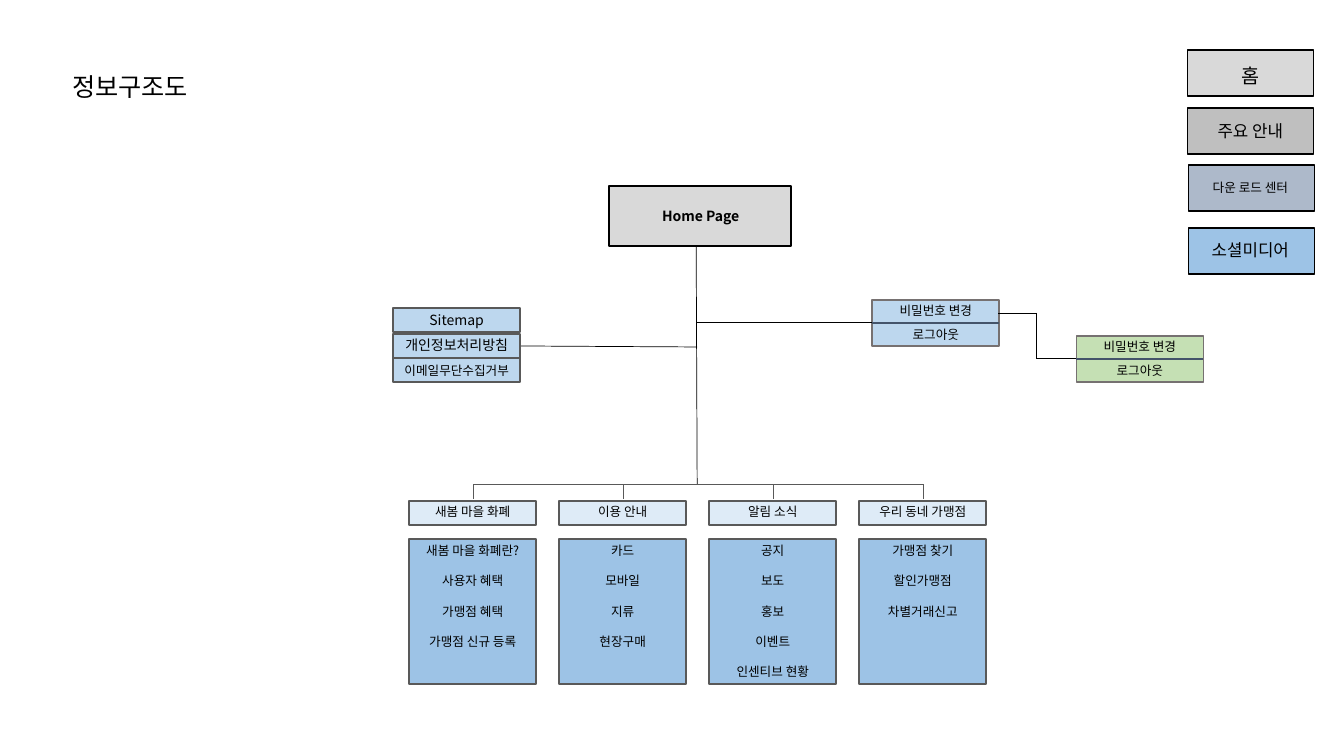
from itertools import pairwise

from lxml.etree import SubElement
from pptx import Presentation
from pptx.dml.color import RGBColor
from pptx.enum.shapes import MSO_CONNECTOR, MSO_SHAPE
from pptx.enum.text import MSO_AUTO_SIZE, PP_ALIGN
from pptx.oxml.ns import qn
from pptx.util import Inches, Pt

BLACK = RGBColor(0x00, 0x00, 0x00)
SILVER = RGBColor(0xD9, 0xD9, 0xD9)
GRAY = RGBColor(0xBF, 0xBF, 0xBF)
SLATE = RGBColor(0xAD, 0xB9, 0xCA)
BLUE = RGBColor(0x9D, 0xC3, 0xE6)
LIGHT_BLUE = RGBColor(0xBD, 0xD7, 0xEE)
PALE_BLUE = RGBColor(0xDE, 0xEB, 0xF7)
GREEN = RGBColor(0xC5, 0xE0, 0xB4)
DARK_GRAY = RGBColor(0x59, 0x59, 0x59)
MID_GRAY = RGBColor(0x76, 0x71, 0x71)
NAVY = RGBColor(0x44, 0x54, 0x6A)

FONT = "Noto Sans CJK KR"
LEADING = 1.2
BOX_WIDTH, ROW_HEIGHT, PAIR_HEIGHT = 127, 24, 46
OVERHANG = 8


def px(length):
    """Turn pixels into EMU."""
    return Inches(length / 100.8)


class Sitemap:
    """Draw site map elements on one slide in one style."""

    def __init__(self, slide):
        """Keep the slide's shapes."""
        self.shapes = slide.shapes

    def box(self, left, top, width, height, fill, outline=DARK_GRAY):
        """Draw an outlined rectangle."""
        rectangle = self.shapes.add_shape(
            MSO_SHAPE.RECTANGLE, px(left), px(top), px(width), px(height))
        rectangle.shadow.inherit = False
        rectangle.fill.solid()
        rectangle.fill.fore_color.rgb = fill
        rectangle.line.color.rgb = outline
        rectangle.line.width = Pt(1)

    def label(self, lines, left, top, width, size=9, bold=False):
        """Write centred lines, one blank line height apart."""
        leading = Pt(size * LEADING)
        height = Inches(0.1) + leading * (2 * len(lines) - 1)
        frame = self.shapes.add_textbox(px(left), px(top), px(width), height).text_frame
        frame.word_wrap = True
        frame.auto_size = MSO_AUTO_SIZE.SHAPE_TO_FIT_TEXT
        frame.text = "\n".join(lines)
        for index, paragraph in enumerate(frame.paragraphs):
            paragraph.alignment = PP_ALIGN.CENTER
            paragraph.line_spacing = leading
            paragraph.space_before = leading if index else Pt(0)
            for run in paragraph.runs:
                run.font.size = Pt(size)
                run.font.bold = bold
                run.font.color.rgb = BLACK
                run.font.name = FONT
                SubElement(run.font._element, qn("a:ea"), typeface=FONT)

    def box_label(self, lines, left, top, size=9):
        """Write lines centred on a standard box at the given left."""
        self.label(lines, left - OVERHANG, top, BOX_WIDTH + 2 * OVERHANG, size)

    def route(self, *points, color=BLACK, weight=0.5):
        """Join points with straight connectors."""
        for start, end in pairwise(points):
            connector = self.shapes.add_connector(
                MSO_CONNECTOR.STRAIGHT, *map(px, start + end))
            connector.line.color.rgb = color
            connector.line.width = Pt(weight)
            SubElement(connector._element.spPr, qn("a:effectLst"))

    def account(self, left, top, fill):
        """Draw a box split into the two account actions."""
        self.box(left, top, BOX_WIDTH, PAIR_HEIGHT, fill, MID_GRAY)
        self.box_label(["비밀번호 변경"], left, top - 2)
        self.box_label(["로그아웃"], left, top + 22)
        divider = top + PAIR_HEIGHT // 2
        self.route((left, divider), (left + BOX_WIDTH, divider), color=NAVY, weight=1)

    def menu(self, left, heading, items):
        """Draw a menu heading with its list and branch line."""
        middle = left + BOX_WIDTH // 2 + 1
        self.box(left, 501, BOX_WIDTH, ROW_HEIGHT, PALE_BLUE)
        self.box_label([heading], left, 499)
        self.box(left, 539, BOX_WIDTH, 145, BLUE)
        self.route((middle, 499), (middle, 484), color=DARK_GRAY, weight=0.75)
        self.box_label(items, left, 538)


POLICIES = [("Sitemap", 308, 307, 10), ("개인정보처리방침", 334, 332, 10),
            ("이메일무단수집거부", 358, 358, 9)]
MENUS = [
    ("새봄 마을 화폐", ["새봄 마을 화폐란?", "사용자 혜택", "가맹점 혜택", "가맹점 신규 등록"]),
    ("이용 안내", ["카드", "모바일", "지류", "현장구매"]),
    ("알림 소식", ["공지", "보도", "홍보", "이벤트", "인센티브 현황"]),
    ("우리 동네 가맹점", ["가맹점 찾기", "할인가맹점", "차별거래신고"]),
]
LEGEND = [("홈", 1187, 50, 59, 14, SILVER), ("주요 안내", 1187, 108, 116, 12, GRAY),
          ("다운 로드 센터", 1188, 165, 175, 9, SLATE), ("소셜미디어", 1188, 228, 235, 12, BLUE)]

presentation = Presentation()
presentation.slide_width = Inches(13.33)
presentation.slide_height = Inches(7.5)
sitemap = Sitemap(presentation.slides.add_slide(presentation.slide_layouts[6]))

sitemap.label(["정보구조도"], 37, 66, 186, 18)

for policy, box_top, text_top, size in POLICIES:
    sitemap.box(393, box_top, BOX_WIDTH, ROW_HEIGHT, LIGHT_BLUE)
    sitemap.box_label([policy], 393, text_top, size)

sitemap.account(1076, 336, GREEN)
sitemap.account(872, 300, LIGHT_BLUE)
sitemap.route((998, 313), (1036, 313), (1036, 358), (1076, 358))
sitemap.route((697, 322), (872, 322))
sitemap.route((696, 244), (697, 484))
sitemap.route((521, 346), (697, 347))

sitemap.box(609, 186, 182, 60, SILVER, BLACK)
sitemap.label(["Home Page"], 624, 203, 153, 10, bold=True)

sitemap.route((473, 484), (923, 484), color=DARK_GRAY)
for column, (heading, items) in enumerate(MENUS):
    sitemap.menu(409 + 150 * column, heading, items)

for name, left, box_top, text_top, size, fill in LEGEND:
    sitemap.box(left, box_top, 126, 46, fill, BLACK)
    sitemap.label([name], 1197, text_top, 106, size)

presentation.save("out.pptx")
